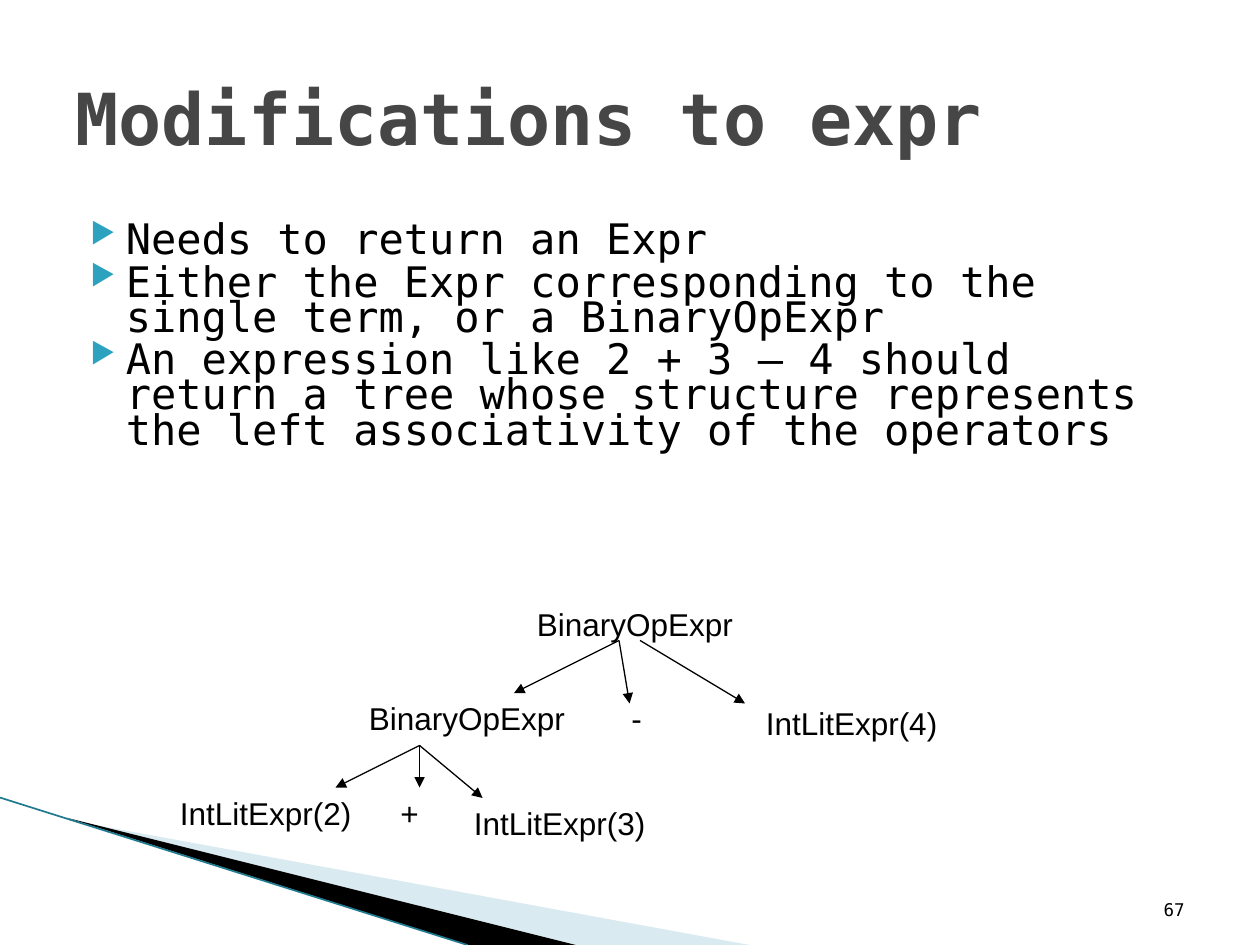
import dataclasses

import lxml.etree
import pptx
import pptx.dml.color
import pptx.enum.shapes
import pptx.enum.text
import pptx.oxml
import pptx.oxml.ns
import pptx.util

ANCHOR = pptx.enum.text.MSO_ANCHOR
ALIGN = pptx.enum.text.PP_ALIGN
qn = pptx.oxml.ns.qn


@dataclasses.dataclass(frozen=True)
class Theme:
    """Colours, fonts and type sizes of the slide."""
    ink: str = "000000"
    title: str = "464646"
    bullet: str = "2DA2BF"
    pale_wedge: str = "A0CBDC"
    edge: str = "1F7A8F"
    mono: str = "DejaVu Sans Mono"
    sans: str = "Arial"
    title_size: int = 41
    body_size: int = 24
    node_size: int = 18
    number_size: int = 10


THEME = Theme()
WIDTH, HEIGHT = 10, 7.5
CELL = 1 / 12  # the tree stands on a grid of twelve cells to the inch


def inches(*values):
    """Turn numbers of inches into lengths."""
    return [pptx.util.Inches(value) for value in values]


def colour(code):
    """Return the colour of a hex code."""
    return pptx.dml.color.RGBColor.from_string(code)


def add_child(parent, tag, **attributes):
    """Append a DrawingML element with its attributes."""
    return lxml.etree.SubElement(parent, qn(tag), attributes)


def add_run(paragraph, text, font, size, code=THEME.ink, bold=False):
    """Add one formatted run."""
    run = paragraph.add_run()
    run.text = text
    run.font.name, run.font.size, run.font.bold = font, pptx.util.Pt(size), bold
    run.font.color.rgb = colour(code)


def add_frame(slide, box, anchor=ANCHOR.TOP, wrap=True):
    """Add an empty text box and return its text frame."""
    frame = slide.shapes.add_textbox(*inches(*box)).text_frame
    frame.word_wrap = wrap
    frame.vertical_anchor = anchor
    return frame


def add_line(slide, start, end, code, width, arrow=False):
    """Draw a straight line, with an arrowhead at its end if wanted."""
    line = slide.shapes.add_connector(
        pptx.enum.shapes.MSO_CONNECTOR.STRAIGHT, *inches(*start, *end))
    line.line.color.rgb = colour(code)
    line.line.width = pptx.util.Pt(width)
    if arrow:
        add_child(line.line._get_or_add_ln(), "a:tailEnd", type="triangle")
    add_child(line._element.spPr, "a:effectLst")


def add_wedge(slide, points, code, opacity=100):
    """Draw a filled outline without a border."""
    start, *rest = [inches(*point) for point in points]
    builder = slide.shapes.build_freeform(*start)
    builder.add_line_segments(rest, close=True)
    shape = builder.convert_to_shape()
    shape.shadow.inherit = False
    shape.fill.solid()
    shape.fill.fore_color.rgb = colour(code)
    shape.line.fill.background()
    if opacity < 100:
        fill = shape._element.spPr.find(qn("a:solidFill"))
        add_child(fill[0], "a:alpha", val=str(opacity * 1000))


def add_corner(slide, box):
    """Draw the swoosh in the lower left corner within the box."""
    left, top, width, height = box
    bottom = top + height
    add_wedge(slide, [(left + 0.55, top + 0.18), (left + width, bottom),
                      (left + 4.56, bottom)], THEME.pale_wedge, 40)
    add_wedge(slide, [(left + 0.53, top + 0.16), (left + 4.57, bottom),
                      (left + 3.72, bottom)], THEME.ink)
    add_line(slide, (left, top), (left + 3.71, bottom), THEME.edge, 0.95)


def add_title(slide, box, text):
    """Place the slide title."""
    paragraph = add_frame(slide, box, ANCHOR.MIDDLE).paragraphs[0]
    add_run(paragraph, text, THEME.mono, THEME.title_size, THEME.title, True)


def add_bullets(slide, box, items):
    """Place the list of bullet points."""
    frame = add_frame(slide, box)
    for index, item in enumerate(items):
        paragraph = frame.add_paragraph() if index else frame.paragraphs[0]
        paragraph.line_spacing = 0.7
        paragraph.space_before = pptx.util.Pt(4)
        properties = paragraph._p.get_or_add_pPr()
        properties.set("marL", str(pptx.util.Inches(0.4)))
        properties.set("indent", str(pptx.util.Inches(-0.28)))
        add_child(add_child(properties, "a:buClr"), "a:srgbClr", val=THEME.bullet)
        add_child(properties, "a:buSzPct", val="68000")
        add_child(properties, "a:buChar", char="▶")
        add_run(paragraph, item, THEME.mono, THEME.body_size)


def add_tree(slide, box, nodes, branches):
    """Draw an expression tree; nodes and branches count grid cells in the box."""
    left, top = box[:2]

    def place(column, row):
        return left + column * CELL, top + row * CELL

    for text, column, row, columns in nodes:
        frame = add_frame(slide, (*place(column, row), columns * CELL, 0.4))
        frame.auto_size = pptx.enum.text.MSO_AUTO_SIZE.SHAPE_TO_FIT_TEXT
        add_run(frame.paragraphs[0], text, THEME.sans, THEME.node_size)
    for start, end in branches:
        add_line(slide, place(*start), place(*end), THEME.ink, 0.75, arrow=True)


def add_number(slide, box, number):
    """Place the slide number."""
    paragraph = add_frame(slide, box, ANCHOR.BOTTOM).paragraphs[0]
    paragraph.alignment = ALIGN.RIGHT
    add_run(paragraph, number, THEME.mono, THEME.number_size)


def main():
    """Build the slide and save it."""
    presentation = pptx.Presentation()
    presentation.slide_width, presentation.slide_height = inches(WIDTH, HEIGHT)
    slide = presentation.slides.add_slide(presentation.slide_layouts[6])
    margin = 0.05 * WIDTH
    content = WIDTH - 2 * margin

    add_corner(slide, (0, 6.33, 5.95, HEIGHT - 6.33))
    add_title(slide, (margin, 0.3, content, 1.25), "Modifications to expr")
    add_bullets(slide, (margin, 1.75, content, 2.39), [
        "Needs to return an Expr",
        "Either the Expr corresponding to the single term, or a BinaryOpExpr",
        "An expression like 2 + 3 – 4 should return a tree whose structure "
        "represents the left associativity of the operators",
    ])
    add_number(slide, (7.17, 6.83, 2.33, 0.52), "67")

    nodes = [
        ("BinaryOpExpr", 34, 0, 23),
        ("BinaryOpExpr", 18, 9, 22),
        ("IntLitExpr(2)", 0, 18, 20),
        ("+", 21, 18, 9),
        ("IntLitExpr(3)", 28, 19, 19),
        ("-", 43, 9, 8),
        ("IntLitExpr(4)", 55.8, 9.5, 19),
    ]
    root, sum_node = (43, 4), (24, 14)
    branches = [(root, (33, 9)), (root, (44, 10)), ((45, 4), (55, 10))]
    branches += [(sum_node, end) for end in ((16, 18), (24, 18), (30, 19))]
    add_tree(slide, (1.33, 4.75, 6.21, 1.98), nodes, branches)

    presentation.save("out.pptx")


main()
